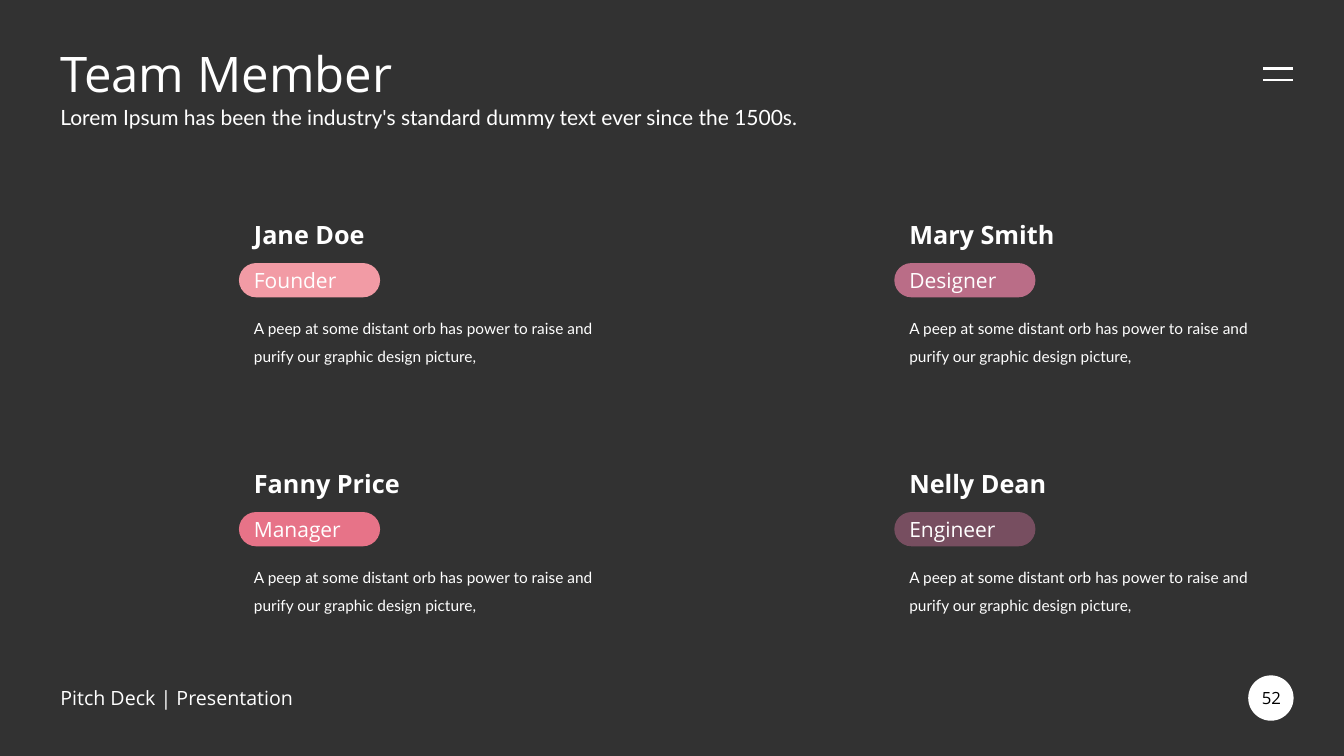
"""Build the team member slide."""
from dataclasses import dataclass

from lxml.etree import SubElement
from pptx import Presentation
from pptx.dml.color import RGBColor
from pptx.enum.shapes import MSO_CONNECTOR, MSO_SHAPE
from pptx.enum.text import MSO_ANCHOR, MSO_AUTO_SIZE, PP_ALIGN
from pptx.oxml.ns import qn
from pptx.shapes.autoshape import Shape
from pptx.slide import Slide
from pptx.util import Inches, Pt

COLORS = {
    "back": "323232",
    "white": "FFFFFF",
    "black": "000000",
    "pink": "F29BA5",
    "mauve": "BA6D87",
    "rose": "E77388",
    "plum": "774E60",
}
HEAD, BODY = "Open Sans", "Lato"
LEFTS, TOPS = (2.42, 8.92), (2.13, 4.6)
BIO = "A peep at some distant orb has power to raise and purify our graphic design picture,"


@dataclass
class Box:
    left: float
    top: float
    width: float
    height: float

    def place(self) -> tuple[int, int, int, int]:
        return (Inches(self.left), Inches(self.top),
                Inches(self.width), Inches(self.height))


@dataclass
class Style:
    size: float
    font: str = HEAD
    color: str = "white"
    bold: bool = False
    align: PP_ALIGN = PP_ALIGN.LEFT
    anchor: MSO_ANCHOR = MSO_ANCHOR.TOP
    lead: float | None = None


@dataclass
class Member:
    name: str
    role: str
    color: str


TEAM = (
    Member("Jane Doe", "Founder", "pink"),
    Member("Mary Smith", "Designer", "mauve"),
    Member("Fanny Price", "Manager", "rose"),
    Member("Nelly Dean", "Engineer", "plum"),
)


def tint(name: str) -> RGBColor:
    return RGBColor.from_string(COLORS[name])


def write(shape: Shape, text: str, style: Style) -> None:
    frame = shape.text_frame
    frame.text = text
    frame.word_wrap = True
    frame.auto_size = MSO_AUTO_SIZE.NONE
    frame.vertical_anchor = style.anchor
    line = frame.paragraphs[0]
    line.alignment = style.align
    if style.lead:
        line.line_spacing = Pt(style.lead)
    font = line.font
    font.name, font.size, font.bold = style.font, Pt(style.size), style.bold
    font.color.rgb = tint(style.color)


def label(slide: Slide, box: Box, text: str, style: Style) -> None:
    write(slide.shapes.add_textbox(*box.place()), text, style)


def blob(slide: Slide, kind: MSO_SHAPE, box: Box, color: str) -> Shape:
    shape = slide.shapes.add_shape(kind, *box.place())
    shape.shadow.inherit = False
    shape.fill.solid()
    shape.fill.fore_color.rgb = tint(color)
    shape.line.fill.background()
    return shape


def menu(slide: Slide) -> None:
    for top in (0.68, 0.79):
        bar = slide.shapes.add_connector(
            MSO_CONNECTOR.STRAIGHT, Inches(12.53), Inches(top), Inches(12.82), Inches(top))
        bar.line.color.rgb = tint("white")
        bar.line.width = Pt(1.5)
        SubElement(bar.element.spPr, qn("a:effectLst"))


def card(slide: Slide, who: Member, left: float, top: float) -> None:
    pill = blob(slide, MSO_SHAPE.ROUNDED_RECTANGLE,
                Box(left - 0.05, top + 0.48, 1.4, 0.34), who.color)
    pill.adjustments[0] = 0.5
    label(slide, Box(left, top, 1.75, 0.4), who.name, Style(18, bold=True))
    label(slide, Box(left, top + 0.47, 1.2, 0.35), who.role, Style(15))
    label(slide, Box(left, top + 0.89, 3.78, 0.63), BIO, Style(11, BODY, lead=20))


def main() -> None:
    deck = Presentation()
    deck.slide_width, deck.slide_height = Inches(13.33), Inches(7.5)
    slide = deck.slides.add_slide(deck.slide_layouts[5])
    slide.background.fill.solid()
    slide.background.fill.fore_color.rgb = tint("back")

    title = slide.shapes.title
    title.left, title.top, title.width, title.height = Box(0.5, 0.39, 12.33, 0.66).place()
    write(title, "Team Member", Style(35, anchor=MSO_ANCHOR.MIDDLE))
    label(slide, Box(0.5, 0.99, 12.33, 0.35),
          "Lorem Ipsum has been the industry's standard dummy text ever since the 1500s.",
          Style(15, BODY))
    menu(slide)

    for spot, who in enumerate(TEAM):
        row, col = divmod(spot, len(LEFTS))
        card(slide, who, LEFTS[col], TOPS[row])

    label(slide, Box(0.5, 6.72, 3.29, 0.4), "Pitch Deck | Presentation",
          Style(14, anchor=MSO_ANCHOR.MIDDLE))
    blob(slide, MSO_SHAPE.OVAL, Box(12.38, 6.7, 0.45, 0.45), "white")
    label(slide, Box(12.34, 6.81, 0.54, 0.22), "52",
          Style(12, color="black", align=PP_ALIGN.CENTER, anchor=MSO_ANCHOR.MIDDLE))
    deck.save("out.pptx")


if __name__ == "__main__":
    main()
